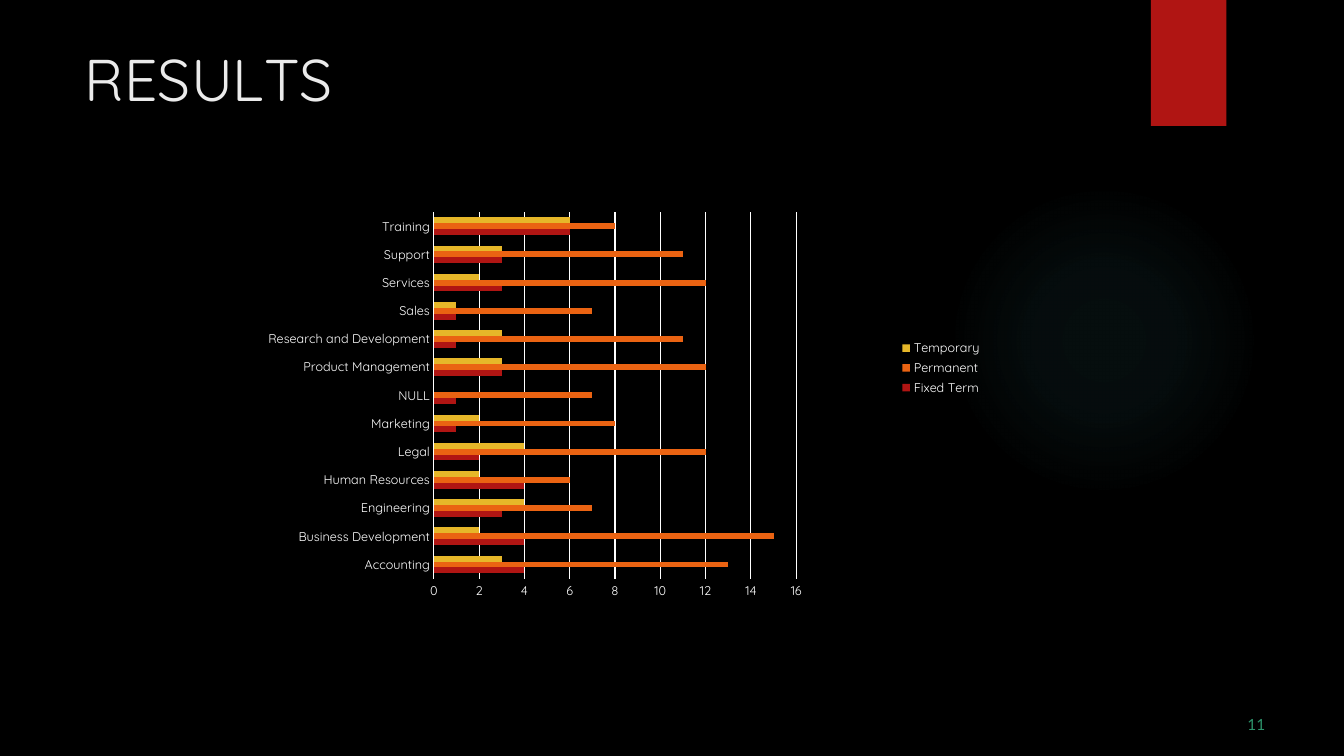
"""Build the results slide: staff numbers by department and type of contract."""
import dataclasses
import typing

import lxml.etree
import pptx
import pptx.chart.data
import pptx.dml.color
import pptx.enum.chart
import pptx.enum.shapes
import pptx.enum.text
import pptx.oxml
import pptx.oxml.ns
import pptx.util

COLUMNS, ROWS = 160, 90
WIDTH, HEIGHT = pptx.util.Inches(13.33), pptx.util.Inches(7.5)
WHITE, RED, ORANGE, YELLOW = "FFFFFF", "B01513", "EA6312", "E6B729"
HEADING_FONT, NUMBER_FONT = "Quicksand", "Lato"


@dataclasses.dataclass(frozen=True)
class Area:
    """A rectangle in grid columns and rows."""
    column: float
    row: float
    columns: float
    rows: float

    def frame(self) -> tuple[int, int, int, int]:
        """Return left, top, width and height as lengths."""
        return (round(self.column * WIDTH / COLUMNS), round(self.row * HEIGHT / ROWS),
                round(self.columns * WIDTH / COLUMNS), round(self.rows * HEIGHT / ROWS))


@dataclasses.dataclass(frozen=True)
class Contract:
    """One chart series."""
    name: str
    color: str
    counts: tuple[int | None, ...]


@dataclasses.dataclass(frozen=True)
class Letters:
    """A piece of text with its letter spacing in points."""
    text: str
    spacing: float


GLOW_AREA = Area(112.9, 22, 37, 37)
TAB_AREA = Area(137, 0, 9, 15)
TITLE_AREA = Area(10, 5, 32, 10)
NUMBER_AREA = Area(148, 85, 3, 2.5)
CHART_AREA = Area(6.6, 10.7, 111.5, 66.2)
PLOT_SHARES = {"x": 0.404, "y": 0.22, "w": 0.387, "h": 0.659}
GLOW_COLOR = "50B9C1"
GLOW_STOPS = ((0, 7), (36, 6), (69, 0), (100, 0))

TITLE = (Letters("R", 0), Letters("E", -0.4), Letters("S", 0.1),
         Letters("U", -0.3), Letters("L", -4), Letters("TS", 0))
DEPARTMENTS = ("Accounting", "Business Development", "Engineering", "Human Resources",
               "Legal", "Marketing", "NULL", "Product Management",
               "Research and Development", "Sales", "Services", "Support", "Training")
CONTRACTS = (
    Contract("Fixed Term", RED, (4, 4, 3, 4, 2, 1, 1, 3, 1, 1, 3, 3, 6)),
    Contract("Permanent", ORANGE, (13, 15, 7, 6, 12, 8, 7, 12, 11, 7, 12, 11, 8)),
    Contract("Temporary", YELLOW, (3, 2, 4, 2, 4, 2, None, 3, 3, 1, 2, 3, 6)),
)


def paint(target: typing.Any, color: str) -> None:
    """Give a fill one solid colour."""
    target.solid()
    target.fore_color.rgb = pptx.dml.color.RGBColor.from_string(color)


def style_font(font: typing.Any, *, size: float, color: str, name: str) -> None:
    """Set the size, colour and typeface of a font."""
    font.size = pptx.util.Pt(size)
    font.name = name
    font.color.rgb = pptx.dml.color.RGBColor.from_string(color)


def style_line(line: typing.Any, color: str, width: float) -> None:
    """Set the colour and width of a line."""
    paint(line.fill, color)
    line.width = pptx.util.Pt(width)


def place(shape: typing.Any, area: Area) -> None:
    """Move a shape onto its grid area."""
    shape.left, shape.top, shape.width, shape.height = area.frame()


def write(box: typing.Any, pieces: typing.Iterable[Letters], *, size: float, color: str,
          font: str, indent: float, before: float) -> None:
    """Write one left-aligned paragraph of spaced letters into a shape."""
    frame = box.text_frame
    frame.word_wrap = True
    frame.auto_size = pptx.enum.text.MSO_AUTO_SIZE.NONE
    frame.vertical_anchor = pptx.enum.text.MSO_ANCHOR.TOP
    frame.margin_left = pptx.util.Inches(indent)
    frame.margin_top = pptx.util.Inches(0.01)
    frame.margin_right = frame.margin_bottom = 0
    para = frame.paragraphs[0]
    para.alignment = pptx.enum.text.PP_ALIGN.LEFT
    para.space_before = pptx.util.Pt(before)
    for piece in pieces:
        span = para.add_run()
        span.text = piece.text
        style_font(span.font, size=size, color=color, name=font)
        span._r.get_or_add_rPr().set("spc", str(round(piece.spacing * 100)))


def add_plain_shape(page: typing.Any, kind: typing.Any, area: Area, color: str) -> typing.Any:
    """Add a filled shape without outline or shadow."""
    shape = page.shapes.add_shape(kind, *area.frame())
    shape.shadow.inherit = False
    paint(shape.fill, color)
    shape.line.fill.background()
    return shape


def add_glow(page: typing.Any) -> None:
    """Add the ellipse that fades out from its centre."""
    glow = add_plain_shape(page, pptx.enum.shapes.MSO_SHAPE.OVAL, GLOW_AREA, GLOW_COLOR)
    stops = "".join(
        f'<a:gs pos="{position * 1000}"><a:srgbClr val="{GLOW_COLOR}">'
        f'<a:alpha val="{alpha * 1000}"/></a:srgbClr></a:gs>'
        for position, alpha in GLOW_STOPS)
    gradient = pptx.oxml.parse_xml(
        f'<a:gradFill {pptx.oxml.ns.nsdecls("a")}><a:gsLst>{stops}</a:gsLst>'
        '<a:path path="circle"><a:fillToRect l="50000" t="50000" r="50000" b="50000"/>'
        '</a:path></a:gradFill>')
    properties = glow._element.spPr
    properties.replace(properties.find(pptx.oxml.ns.qn("a:solidFill")), gradient)


def set_plot_layout(chart: typing.Any) -> None:
    """Fix the inner plot area at its shares of the chart."""
    plot_area = chart._chartSpace.chart.plotArea
    qualified = pptx.oxml.ns.qn
    for old in plot_area.findall(qualified("c:layout")):
        plot_area.remove(old)
    layout = lxml.etree.Element(qualified("c:layout"))
    manual = lxml.etree.SubElement(layout, qualified("c:manualLayout"))
    settings = {"layoutTarget": "inner", "xMode": "edge", "yMode": "edge", **PLOT_SHARES}
    for tag, value in settings.items():
        lxml.etree.SubElement(manual, qualified(f"c:{tag}")).set("val", str(value))
    plot_area.insert(0, layout)


def add_staff_chart(page: typing.Any) -> None:
    """Add the clustered bar chart of contracts by department."""
    data = pptx.chart.data.CategoryChartData()
    data.categories = DEPARTMENTS
    for contract in CONTRACTS:
        data.add_series(contract.name, contract.counts)
    chart = page.shapes.add_chart(pptx.enum.chart.XL_CHART_TYPE.BAR_CLUSTERED,
                                  *CHART_AREA.frame(), data).chart
    chart.has_title = False
    style_font(chart.font, size=10, color=WHITE, name=HEADING_FONT)
    chart.has_legend = True
    chart.legend.position = pptx.enum.chart.XL_LEGEND_POSITION.RIGHT
    chart.legend.include_in_layout = False
    departments, counts = chart.category_axis, chart.value_axis
    for part in (chart.legend.font, departments.tick_labels.font, counts.tick_labels.font):
        style_font(part, size=9, color=WHITE, name=HEADING_FONT)
    for axis in (departments, counts):
        axis.major_tick_mark = axis.minor_tick_mark = pptx.enum.chart.XL_TICK_MARK.NONE
    style_line(departments.format.line, WHITE, 0.75)
    counts.format.line.fill.background()
    counts.has_major_gridlines = True
    style_line(counts.major_gridlines.format.line, WHITE, 0.75)
    counts.minimum_scale, counts.maximum_scale, counts.major_unit = 0, 16, 2
    plot = chart.plots[0]
    plot.gap_width, plot.overlap, plot.vary_by_categories = 182, 0, False
    for series, contract in zip(plot.series, CONTRACTS):
        series.invert_if_negative = False
        paint(series.format.fill, contract.color)
    set_plot_layout(chart)


def main() -> None:
    """Build and save the deck."""
    deck = pptx.Presentation()
    deck.slide_width, deck.slide_height = WIDTH, HEIGHT
    page = deck.slides.add_slide(deck.slide_layouts.get_by_name("Title Only"))
    paint(page.background.fill, "000000")
    add_glow(page)
    add_plain_shape(page, pptx.enum.shapes.MSO_SHAPE.RECTANGLE, TAB_AREA, RED)
    place(page.shapes.title, TITLE_AREA)
    write(page.shapes.title, TITLE, size=42, color="EBEBEB", font=HEADING_FONT,
          indent=0.01, before=1.1)
    number = page.shapes.add_textbox(*NUMBER_AREA.frame())
    write(number, [Letters("11", 0.1)], size=11, color="2D936B", font=NUMBER_FONT,
          indent=0.04, before=0.6)
    add_staff_chart(page)
    deck.save("out.pptx")


if __name__ == "__main__":
    main()
